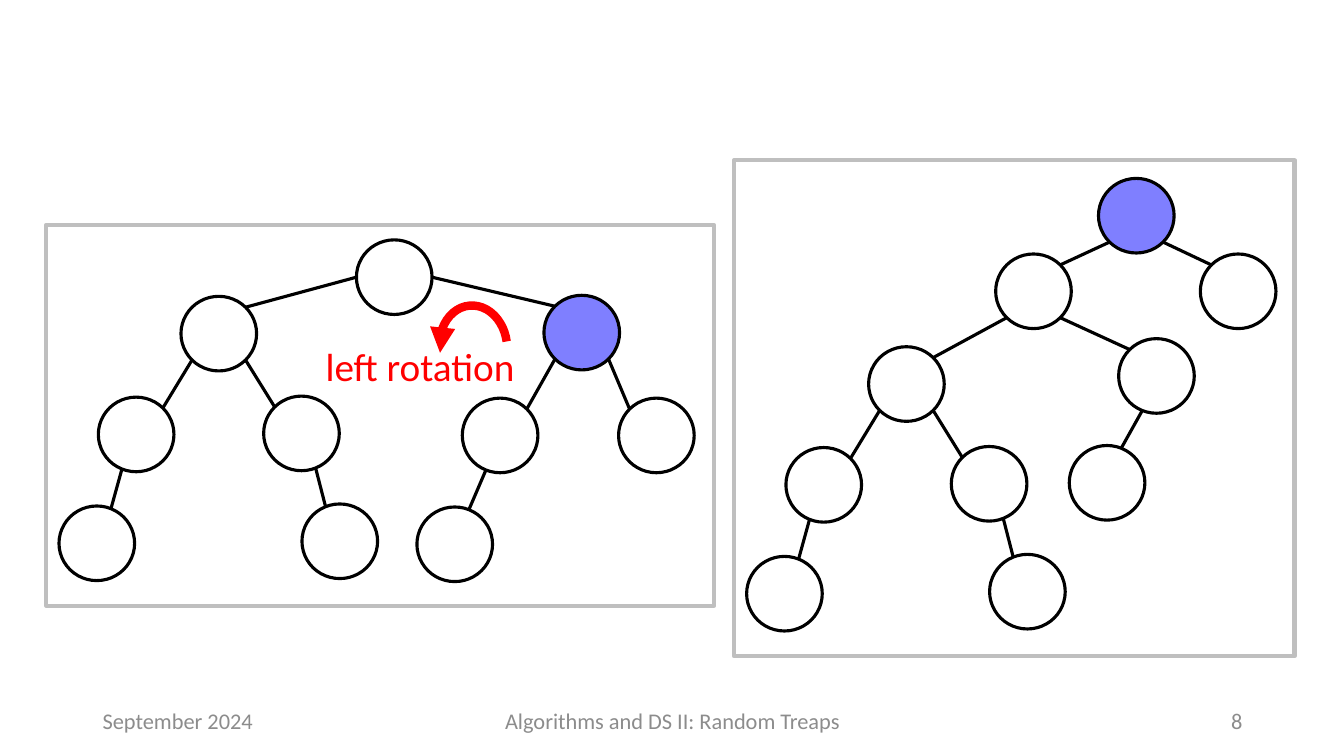
from collections import namedtuple
from math import cos, radians, sin

from lxml.etree import SubElement
from pptx import Presentation
from pptx.dml.color import RGBColor
from pptx.enum.shapes import MSO_CONNECTOR, MSO_SHAPE
from pptx.enum.text import MSO_ANCHOR, PP_ALIGN
from pptx.oxml.ns import qn
from pptx.util import Inches, Pt

BLACK, GREY, RED, BLUE, FOOTER_GREY = "000000", "BFBFBF", "FF0000", "0000FF", "8C8C8C"
FONT = "Calibri"
SLIDE_WIDTH, SLIDE_HEIGHT = 13.33, 7.5
NODE_WIDTH, NODE_HEIGHT = 0.75, 0.74

Box = namedtuple("Box", "left top width height")
# dx and dy run from the parent's centre to this node's centre, in inches
Node = namedtuple("Node", "dx dy children highlighted", defaults=((), False))

# The subtree that the rotation leaves unchanged
LEFT_CHILDREN = (
    Node(-0.82, 1, (Node(-0.39, 1.08),)),
    Node(0.82, 0.99, (Node(0.38, 1.07),)),
)
# A root's dx and dy run from the corner of its panel
TREE_BEFORE = Node(3.45, 0.52, (
    Node(-1.74, 0.56, LEFT_CHILDREN),
    Node(1.86, 0.55, (
        Node(-0.81, 1.02, (Node(-0.45, 1.08),)),
        Node(0.74, 1.02),
    ), True),
))
TREE_AFTER = Node(3.99, 0.55, (
    Node(-1.02, 0.75, (
        Node(-1.26, 0.92, LEFT_CHILDREN),
        Node(1.22, 0.84, (Node(-0.49, 1.06),)),
    )),
    Node(1.01, 0.75),
), True)


def color(hex_string):
    return RGBColor.from_string(hex_string)


def add_outline(slide, preset, box, line_color, line_width):
    shape = slide.shapes.add_shape(preset, *map(Inches, box))
    shape.shadow.inherit = False
    shape.fill.background()
    shape.line.color.rgb = color(line_color)
    shape.line.width = Pt(line_width)
    return shape


def add_text(slide, box, text, size, text_color, align=PP_ALIGN.LEFT, anchor=MSO_ANCHOR.TOP):
    frame = slide.shapes.add_textbox(*map(Inches, box)).text_frame
    frame.word_wrap = True
    frame.vertical_anchor = anchor
    paragraph = frame.paragraphs[0]
    paragraph.text = text
    paragraph.alignment = align
    paragraph.font.name = FONT
    paragraph.font.size = Pt(size)
    paragraph.font.color.rgb = color(text_color)


def rim_point(x, y, angle, side, direction):
    """Point on a node's outline, angle degrees off the horizontal."""
    return (x + side * NODE_WIDTH / 2 * cos(radians(angle)),
            y + direction * NODE_HEIGHT / 2 * sin(radians(angle)))


def add_edge(slide, x, y, child):
    """Join a parent at x, y to its child; narrow edges leave steeply, wide ones sideways."""
    spread = abs(child.dx)
    child_angle = 68 if spread < 0.6 else 45
    parent_angle = 0 if spread > 1.5 else child_angle
    side = 1 if child.dx > 0 else -1
    start = rim_point(x, y, parent_angle, side, 1)
    end = rim_point(x + child.dx, y + child.dy, child_angle, -side, -1)
    edge = slide.shapes.add_connector(MSO_CONNECTOR.STRAIGHT, *map(Inches, start + end))
    edge.line.color.rgb = color(BLACK)
    edge.line.width = Pt(2.25)
    SubElement(edge._element.spPr, qn("a:effectLst"))


def add_tree(slide, node, origin_x, origin_y):
    x, y = origin_x + node.dx, origin_y + node.dy
    for child in node.children:
        add_edge(slide, x, y, child)
        add_tree(slide, child, x, y)
    box = Box(x - NODE_WIDTH / 2, y - NODE_HEIGHT / 2, NODE_WIDTH, NODE_HEIGHT)
    circle = add_outline(slide, MSO_SHAPE.OVAL, box, BLACK, 2.25)
    if node.highlighted:
        circle.fill.solid()
        circle.fill.fore_color.rgb = color(BLUE)
        fill_color = circle._element.spPr.find(".//" + qn("a:srgbClr"))
        SubElement(fill_color, qn("a:alpha"), val="50000")


def add_tree_panel(slide, box, tree):
    add_outline(slide, MSO_SHAPE.RECTANGLE, box, GREY, 3)
    add_tree(slide, tree, box.left, box.top)


def add_rotation_mark(slide, box):
    """Label with a curved arrow rising from its right half."""
    label_box = Box(box.left, box.top + 0.32, box.width, 0.57)
    add_text(slide, label_box, "left rotation", 28, RED, align=PP_ALIGN.CENTER)
    arc_box = Box(box.left + 1.32, box.top, 0.67, box.height)
    arc = add_outline(slide, MSO_SHAPE.ARC, arc_box, RED, 6)
    arc.adjustments[0], arc.adjustments[1] = 110.16, 2.9
    arc.rotation = 354.6
    arc._element.spPr.find(qn("a:xfrm")).set("flipH", "1")
    SubElement(arc.line._get_or_add_ln(), qn("a:tailEnd"), type="triangle")


def add_footer(slide, box):
    fields = (
        (0, 3, "September 2024", PP_ALIGN.LEFT),
        (3.5, 4.5, "Algorithms and DS II: Random Treaps", PP_ALIGN.CENTER),
        (8.5, 3, "8", PP_ALIGN.RIGHT),
    )
    for offset, width, text, align in fields:
        add_text(slide, Box(box.left + offset, box.top, width, box.height), text, 16,
                 FOOTER_GREY, align=align, anchor=MSO_ANCHOR.MIDDLE)


def main():
    presentation = Presentation()
    presentation.slide_width = Inches(SLIDE_WIDTH)
    presentation.slide_height = Inches(SLIDE_HEIGHT)
    slide = presentation.slides.add_slide(presentation.slide_layouts[6])
    add_footer(slide, Box(0.92, 6.95, 11.5, 0.4))
    add_tree_panel(slide, Box(0.46, 2.23, 6.62, 3.78), TREE_BEFORE)
    add_tree_panel(slide, Box(7.28, 1.59, 5.56, 4.92), TREE_AFTER)
    add_rotation_mark(slide, Box(3.04, 3.03, 2.25, 0.82))
    presentation.save("out.pptx")


if __name__ == "__main__":
    main()
